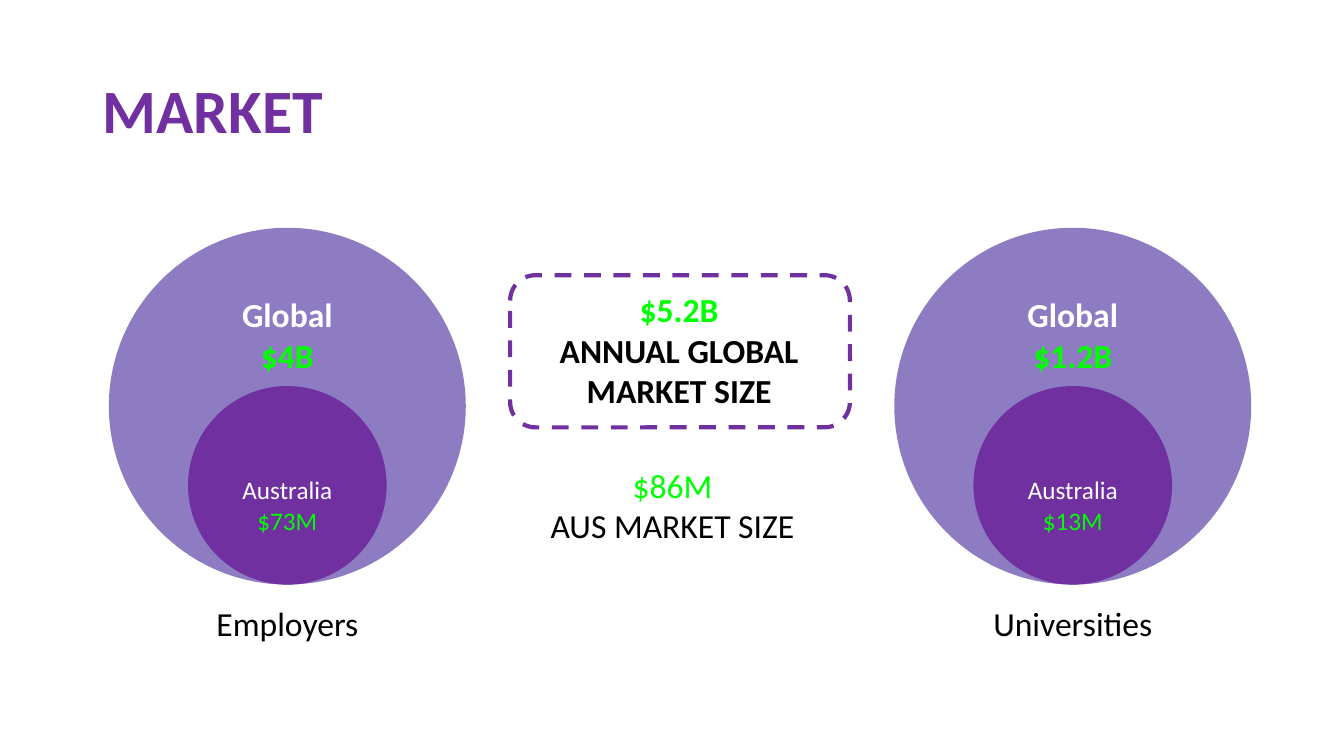
import pptx
import pptx.util
import pptx.dml.color
import pptx.enum.dml
import pptx.enum.shapes
import pptx.enum.text

Inches = pptx.util.Inches
Shapes = pptx.enum.shapes.MSO_SHAPE
Align = pptx.enum.text.PP_ALIGN
Anchor = pptx.enum.text.MSO_ANCHOR

PURPLE, LILAC, GREEN, WHITE, BLACK = "7030A0", "8E7CC3", "00FF00", "FFFFFF", "000000"

TITLE = "MARKET"
MARKETS = [
    {"name": "Employers", "left": 1.08, "global": "$4B", "local": "$73M"},
    {"name": "Universities", "left": 8.87, "global": "$1.2B", "local": "$13M"},
]
TOTALS = [
    ((5.09, 2.77, 3.29, 1.23), "$5.2B", "ANNUAL GLOBAL MARKET SIZE", True),
    ((5.09, 4.51, 3.16, 1.23), "$86M", "AUS MARKET SIZE", False),
]
FRAME = (5.06, 2.73, 3.37, 1.51)
CIRCLE_TOP, GLOBAL_SIZE, LOCAL_SIZE = 2.26, 3.54, 1.97


def colour(value):
    return pptx.dml.color.RGBColor.from_string(value)


def apply(target, values):
    for name, value in values.items():
        setattr(target, name, value)


def add_shape(page, kind, place, fill=None):
    shape = page.shapes.add_shape(kind, *map(Inches, place))
    shape.shadow.inherit = False
    shape.line.fill.background()
    if fill:
        shape.fill.solid()
        shape.fill.fore_color.rgb = colour(fill)
    else:
        shape.fill.background()
    return shape


def add_text(page, place, lines, size, bold=False, align=Align.CENTER,
             anchor=Anchor.TOP, inset=0.1, spacing=1.0):
    frame = page.shapes.add_textbox(*map(Inches, place)).text_frame
    apply(frame, {"word_wrap": True, "vertical_anchor": anchor,
                  "margin_left": Inches(0.1), "margin_right": Inches(0.1),
                  "margin_top": Inches(inset), "margin_bottom": Inches(inset)})
    for index, (text, ink) in enumerate(lines):
        para = frame.add_paragraph() if index else frame.paragraphs[0]
        apply(para, {"alignment": align, "line_spacing": spacing})
        span = para.add_run()
        span.text = text
        apply(span.font, {"name": "Calibri", "size": pptx.util.Pt(size), "bold": bold})
        span.font.color.rgb = colour(ink)


def add_market(page, market):
    left = market["left"]
    centre = left + GLOBAL_SIZE / 2
    local_top = CIRCLE_TOP + GLOBAL_SIZE - LOCAL_SIZE
    add_shape(page, Shapes.OVAL, (left, CIRCLE_TOP, GLOBAL_SIZE, GLOBAL_SIZE), LILAC)
    add_shape(page, Shapes.OVAL,
              (centre - LOCAL_SIZE / 2, local_top, LOCAL_SIZE, LOCAL_SIZE), PURPLE)
    labels = [
        (4.61, 1.47, 0.68, [("Australia", WHITE), (market["local"], GREEN)], 18, False),
        (2.82, 2.05, 0.62, [("Global", WHITE), (market["global"], GREEN)], 24, True),
        (5.88, 2.65, 0.84, [(market["name"], BLACK)], 24, False),
    ]
    for top, width, height, lines, size, bold in labels:
        add_text(page, (centre - width / 2, top, width, height), lines, size, bold)


def main():
    deck = pptx.Presentation()
    apply(deck, {"slide_width": Inches(13.33), "slide_height": Inches(7.5)})
    page = deck.slides.add_slide(deck.slide_layouts[6])

    border = add_shape(page, Shapes.ROUNDED_RECTANGLE, FRAME).line
    border.color.rgb = colour(PURPLE)
    apply(border, {"width": pptx.util.Pt(3),
                   "dash_style": pptx.enum.dml.MSO_LINE.DASH})

    add_text(page, (0.92, 0.4, 11.5, 1.45), [(TITLE, PURPLE)], 44, True,
             Align.LEFT, Anchor.MIDDLE, 0.05, 0.9)
    for market in MARKETS:
        add_market(page, market)
    for place, amount, label, bold in TOTALS:
        add_text(page, place, [(amount, GREEN), (label, BLACK)], 24, bold)

    deck.save("out.pptx")


if __name__ == "__main__":
    main()
